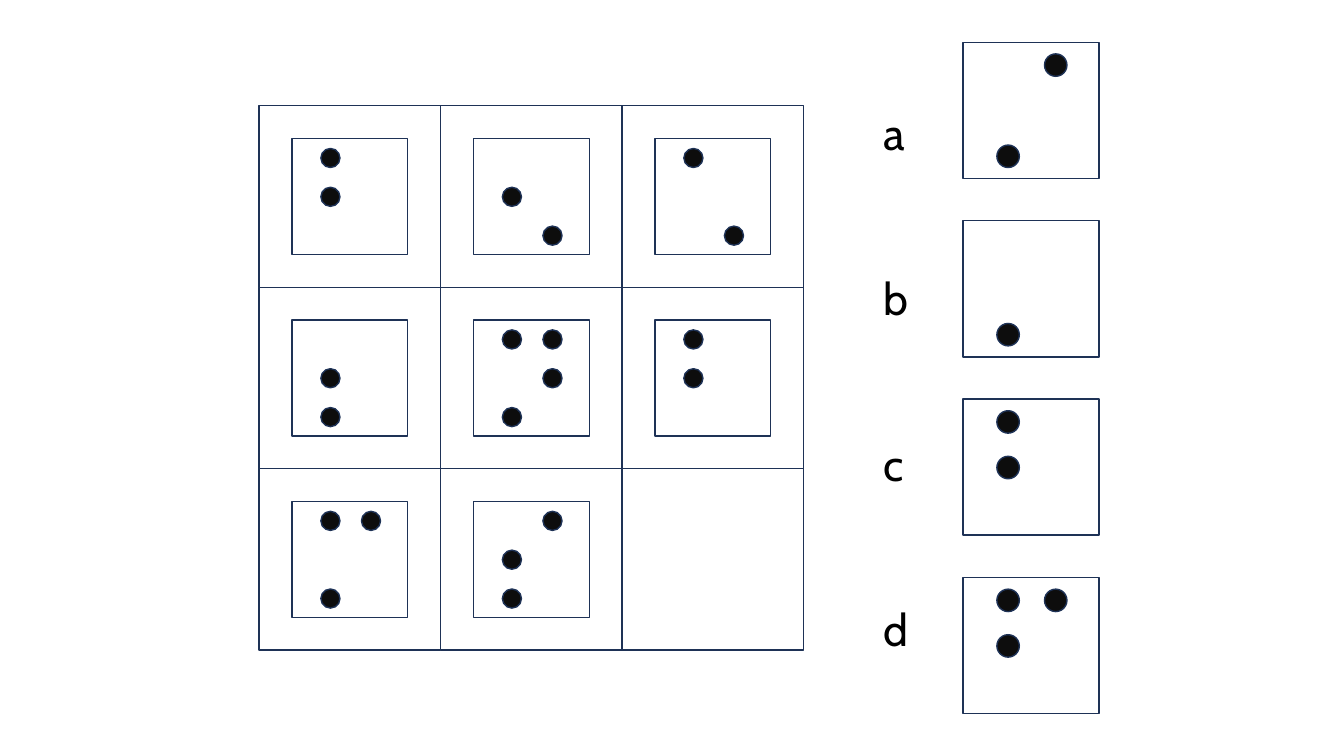
from pptx import Presentation
from pptx.dml.color import RGBColor
from pptx.enum.shapes import MSO_SHAPE
from pptx.enum.text import MSO_AUTO_SIZE
from pptx.util import Inches, Pt

NAVY, BLACK, WHITE, DOT = "1E3256", "000000", "FFFFFF", "0D0D0D"
CELL, TILE, ANSWER = 1.8, 1.15, 1.35
DOT_SIZE = 0.165
DOT_X = (0.25, 0.6)
DOT_Y = (0.085, 0.42, 0.755)

# Each dot is (column, row) inside its tile.
MATRIX = [
    [[(0, 0), (0, 1)], [(0, 1), (1, 2)], [(0, 0), (1, 2)]],
    [[(0, 1), (0, 2)], [(0, 0), (1, 0), (1, 1), (0, 2)], [(0, 0), (0, 1)]],
    [[(0, 0), (1, 0), (0, 2)], [(1, 0), (0, 1), (0, 2)], None],
]
ANSWERS = [
    ("a", 0.46, [(1, 0), (0, 2)]),
    ("b", 0.46, [(0, 2)]),
    ("c", 0.43, [(0, 0), (0, 1)]),
    ("d", 0.5, [(0, 0), (1, 0), (0, 1)]),
]


def color(value):
    """Turn a hex string into a colour."""
    return RGBColor.from_string(value)


def add_outlined(s, kind, x, y, size, fill=None):
    """Add a shape of equal sides with a navy outline."""
    sp = s.shapes.add_shape(kind, Inches(x), Inches(y), Inches(size), Inches(size))
    sp.shadow.inherit = False
    if fill:
        sp.fill.solid()
        sp.fill.fore_color.rgb = color(fill)
    else:
        sp.fill.background()
    sp.line.color.rgb = color(NAVY)
    sp.line.width = Pt(1)


def add_text(s, text, x, y, w, h, size=32, font="Cabin", fill=BLACK):
    """Add a one-line text box that fits its text."""
    tf = s.shapes.add_textbox(Inches(x), Inches(y), Inches(w), Inches(h)).text_frame
    tf.word_wrap = False
    tf.auto_size = MSO_AUTO_SIZE.SHAPE_TO_FIT_TEXT
    r = tf.paragraphs[0].add_run()
    r.text = text
    r.font.size = Pt(size)
    r.font.name = font
    r.font.color.rgb = color(fill)


def add_tile(s, x, y, size, dots):
    """Draw a white tile with its dots."""
    add_outlined(s, MSO_SHAPE.RECTANGLE, x, y, size, WHITE)
    for col, row in dots:
        add_outlined(s, MSO_SHAPE.OVAL, x + DOT_X[col] * size, y + DOT_Y[row] * size,
                     DOT_SIZE * size, DOT)


def add_matrix(s, x, y):
    """Draw the puzzle grid with a tile centred in each filled cell."""
    margin = (CELL - TILE) / 2
    for row, tiles in enumerate(MATRIX):
        for col, dots in enumerate(tiles):
            left, top = x + col * CELL, y + row * CELL
            add_outlined(s, MSO_SHAPE.RECTANGLE, left, top, CELL)
            if dots:
                add_tile(s, left + margin, top + margin, TILE, dots)


def add_answers(s, x, y):
    """Draw the column of lettered answers."""
    for i, (letter, width, dots) in enumerate(ANSWERS):
        add_text(s, letter, x, y + 0.58 + i * 1.64, width, 0.64)
        add_tile(s, x + 0.89, y + i * 1.77, ANSWER, dots)


def main():
    """Build and save the slide."""
    prs = Presentation()
    prs.slide_width, prs.slide_height = Inches(13.33), Inches(7.5)
    s = prs.slides.add_slide(prs.slide_layouts[6])
    add_matrix(s, 2.57, 1.05)
    add_answers(s, 8.66, 0.42)
    prs.save("out.pptx")


if __name__ == "__main__":
    main()
